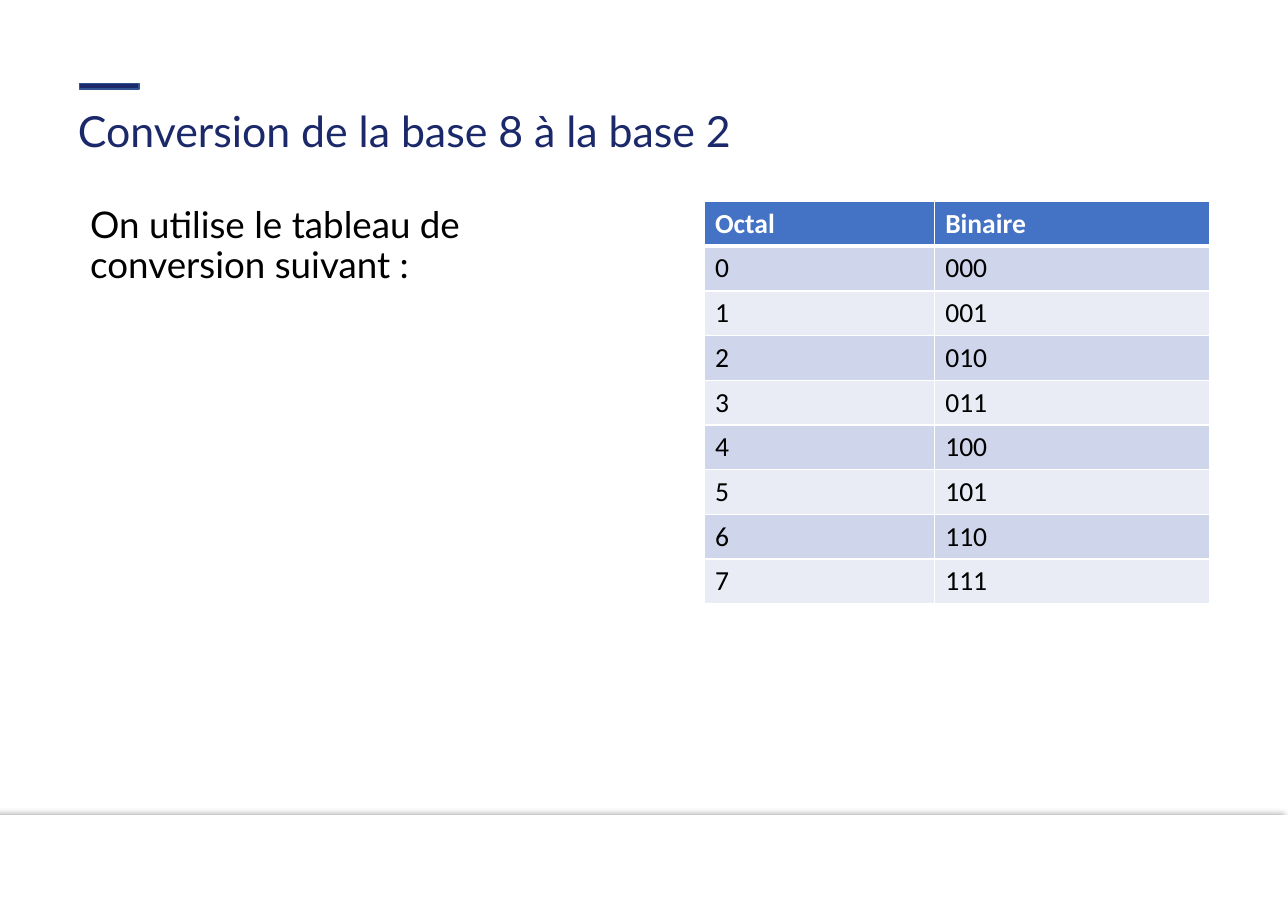
from dataclasses import dataclass

import pptx
import pptx.dml.color
import pptx.enum.shapes
import pptx.oxml
import pptx.oxml.ns
import pptx.util

Inches = pptx.util.Inches
Pt = pptx.util.Pt
RGBColor = pptx.dml.color.RGBColor

WHITE = RGBColor(0xFF, 0xFF, 0xFF)
BLACK = RGBColor(0, 0, 0)
NAVY = RGBColor(0x1B, 0x29, 0x6A)
NAVY_EDGE = RGBColor(0x32, 0x54, 0x91)
HEADER_BLUE = RGBColor(0x44, 0x72, 0xC4)
BANDS = (RGBColor(0xE9, 0xEB, 0xF5), RGBColor(0xCF, 0xD5, 0xEA))
NS = pptx.oxml.ns.nsdecls("a")


@dataclass
class Box:
    left: float
    top: float
    width: float
    height: float

    def emu(self) -> tuple:
        return tuple(Inches(v) for v in (self.left, self.top, self.width, self.height))


@dataclass
class Label:
    box: Box
    text: str
    size: int
    color: RGBColor


@dataclass
class Bar:
    box: Box
    fill: RGBColor
    edge: RGBColor | None = None
    shadow: bool = False


BARS = [
    Bar(Box(0, 7.4, 11.69, 0.87), WHITE, shadow=True),
    Bar(Box(0.72, 0.76, 0.54, 0.05), NAVY, NAVY_EDGE),
]
LABELS = [
    Label(Box(0.72, 1.83, 4.99, 5.25), "On utilise le tableau de conversion suivant :", 24, BLACK),
    Label(Box(0.61, 0.95, 10.36, 0.31), "Conversion de la base 8 à la base 2", 28, NAVY),
]
TABLE_BOX = Box(6.39, 1.83, 4.59, 3.65)
COLUMN_WIDTHS = (2.09, 2.5)
ROWS = [("Octal", "Binaire")] + [(str(n), f"{n:03b}") for n in range(8)]


def add_run(p, text: str, font: str, size: int, color: RGBColor, bold: bool = False) -> None:
    r = p.add_run()
    r.text = text
    r.font.name = font
    r.font.size = Pt(size)
    r.font.bold = bold
    r.font.color.rgb = color


def add_bar(slide, bar: Bar) -> None:
    sp = slide.shapes.add_shape(pptx.enum.shapes.MSO_SHAPE.RECTANGLE, *bar.box.emu())
    sp.fill.solid()
    sp.fill.fore_color.rgb = bar.fill
    if bar.edge is None:
        sp.line.fill.background()
    else:
        sp.line.color.rgb = bar.edge
        sp.line.width = Pt(1)
    sp.shadow.inherit = False
    if bar.shadow:
        effects = sp._element.spPr.find(pptx.oxml.ns.qn("a:effectLst"))
        effects.append(pptx.oxml.parse_xml(
            f'<a:outerShdw {NS} blurRad="{Pt(4)}" dist="{Pt(3)}" dir="10800000">'
            '<a:srgbClr val="000000"><a:alpha val="40000"/></a:srgbClr></a:outerShdw>'))


def add_label(slide, label: Label) -> None:
    tf = slide.shapes.add_textbox(*label.box.emu()).text_frame
    tf.word_wrap = True
    p = tf.paragraphs[0]
    p.line_spacing = 0.9
    add_run(p, label.text, "Lato", label.size, label.color)


def set_border(cell, side: str, width: int) -> None:
    cell._tc.get_or_add_tcPr().append(pptx.oxml.parse_xml(
        f'<a:ln{side} {NS} w="{Pt(width)}"><a:solidFill>'
        f'<a:srgbClr val="{WHITE}"/></a:solidFill></a:ln{side}>'))


def add_conversion_table(slide) -> None:
    table = slide.shapes.add_table(len(ROWS), len(COLUMN_WIDTHS), *TABLE_BOX.emu()).table
    for column, width in zip(table.columns, COLUMN_WIDTHS):
        column.width = Inches(width)
    for i, values in enumerate(ROWS):
        header = i == 0
        # A thicker rule separates the header from the first row
        borders = {"L": 1, "R": 1, "T": 3 if i == 1 else 1, "B": 3 if header else 1}
        for j, value in enumerate(values):
            cell = table.cell(i, j)
            for side, width in borders.items():
                set_border(cell, side, width)
            cell.fill.solid()
            cell.fill.fore_color.rgb = HEADER_BLUE if header else BANDS[i % 2]
            add_run(cell.text_frame.paragraphs[0], value, "Calibri", 18,
                    WHITE if header else BLACK, header)


def main() -> None:
    prs = pptx.Presentation()
    prs.slide_width, prs.slide_height = Inches(11.69), Inches(8.27)
    slide = prs.slides.add_slide(prs.slide_layouts[6])
    # Footer band and title accent
    for bar in BARS:
        add_bar(slide, bar)
    # Title and introduction
    for label in LABELS:
        add_label(slide, label)
    # Octal to binary table
    add_conversion_table(slide)
    prs.save("out.pptx")


if __name__ == "__main__":
    main()
